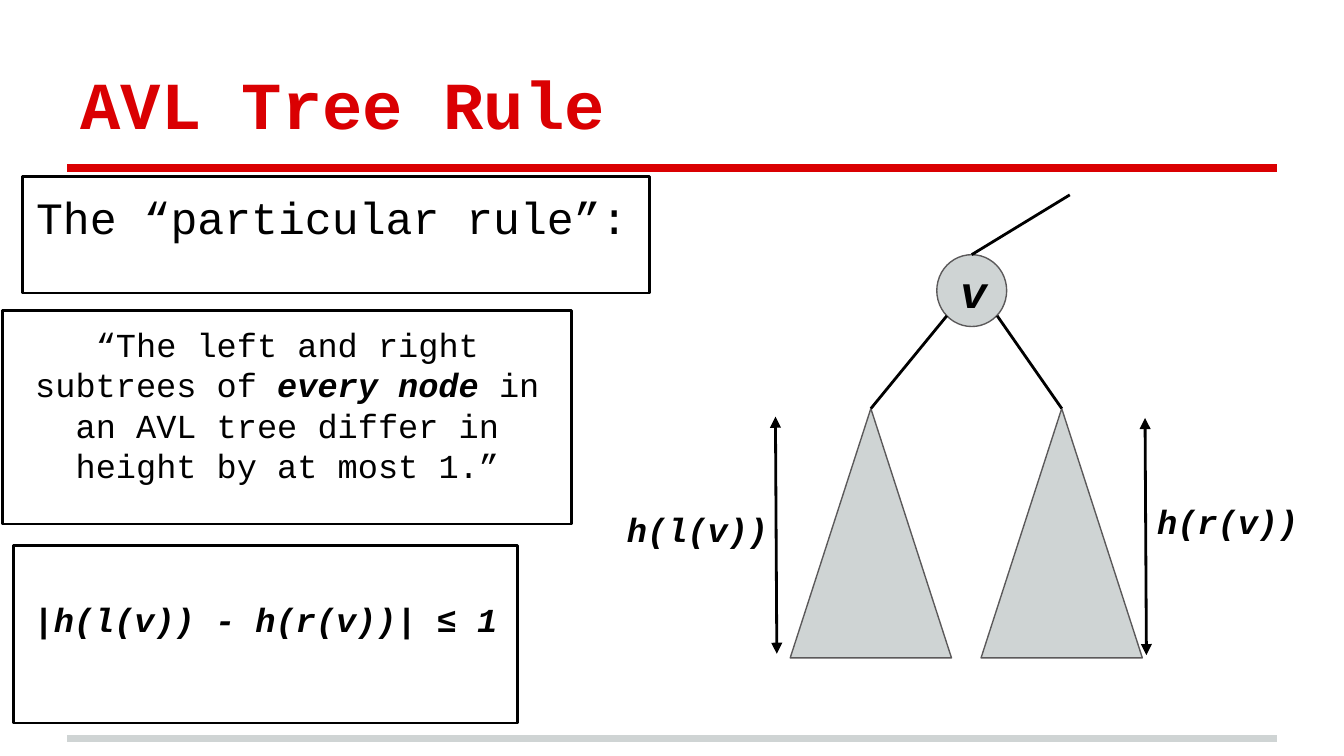
from lxml import etree
from pptx import Presentation
from pptx.dml.color import RGBColor
from pptx.enum.shapes import MSO_CONNECTOR, MSO_SHAPE
from pptx.enum.text import MSO_ANCHOR, PP_ALIGN
from pptx.oxml.ns import qn
from pptx.util import Emu, Pt

PX = 4572  # 200 px to the inch
FONT = "Courier New"
COLORS = {"red": "DA0002", "grey": "CFD4D4", "edge": "5B595A", "black": "000000"}
RECT, OVAL, TRIANGLE = MSO_SHAPE.RECTANGLE, MSO_SHAPE.OVAL, MSO_SHAPE.ISOSCELES_TRIANGLE
LEFT, CENTER = PP_ALIGN.LEFT, PP_ALIGN.CENTER
TOP, MIDDLE, BOTTOM = MSO_ANCHOR.TOP, MSO_ANCHOR.MIDDLE, MSO_ANCHOR.BOTTOM
STRAIGHT = MSO_CONNECTOR.STRAIGHT

SLIDE_SIZE = (2000, 1125)
TITLE, TITLE_BOX = "AVL Tree Rule", (100, 45, 1800, 188)
RULES = [(250, "red"), (1099, "grey")]

# Runs are (text, emphasised)
BOXES = [
    ((34, 263, 933, 173), [("The “particular rule”:", False)], dict(size=24, align=LEFT)),
    ((4, 462, 847, 318), [
        ("“The left and right subtrees of ", False),
        ("every node", True),
        (" in an AVL tree differ in height by at most 1.”", False),
    ], {}),
    ((20, 812, 750, 264), [("|h(l(v)) - h(r(v))| ≤ 1", True)], dict(inset_top=80)),
]
LABELS = [((908, 738, 260, 106), "h(l(v))"), ((1686, 726, 282, 106), "h(r(v))")]

NODE = (1394, 379, 104, 107)
SUBTREES = [(1176, 608, 240, 371), (1460, 608, 240, 371)]
NODE_EXITS = [(1409, 470), (1484, 470)]
PARENT = (1592, 290)
HEIGHT_ARROWS = [((1154, 620), (1156, 973)), ((1704, 622), (1706, 975))]


def px(*values):
    return [Emu(v * PX) for v in values]


def rgb(name):
    return RGBColor.from_string(COLORS[name])


def write(sp, runs, size=18, color="black", align=CENTER, anchor=TOP,
          inset_top=20, italic=True):
    tf = sp.text_frame
    side, top = px(20, inset_top)
    frame = dict(word_wrap=True, vertical_anchor=anchor, margin_left=side,
                 margin_right=side, margin_top=top, margin_bottom=side)
    for key, value in frame.items():
        setattr(tf, key, value)
    p = tf.paragraphs[0]
    p.alignment, p.line_spacing, p.space_before = align, 1.0, Pt(0)
    for text, strong in runs:
        r = p.add_run()
        r.text = text
        style = dict(name=FONT, size=Pt(size), bold=strong, italic=strong and italic)
        for key, value in style.items():
            setattr(r.font, key, value)
        r.font.color.rgb = rgb(color)


def shape(slide, kind, box, fill=None, line="black", width=1.5):
    sp = slide.shapes.add_shape(kind, *px(*box))
    sp.shadow.inherit = False
    if fill:
        sp.fill.solid()
        sp.fill.fore_color.rgb = rgb(fill)
    else:
        sp.fill.background()
    sp.line.color.rgb = rgb(line)
    sp.line.width = Pt(width)
    return sp


def connect(slide, start, end, color="black", width=1.5, arrows=False):
    cxn = slide.shapes.add_connector(STRAIGHT, *px(*start, *end))
    cxn.line.color.rgb = rgb(color)
    cxn.line.width = Pt(width)
    if arrows:
        ln = cxn._element.spPr.find(qn("a:ln"))
        for tag in ("a:headEnd", "a:tailEnd"):
            etree.SubElement(ln, qn(tag), type="triangle")
    etree.SubElement(cxn._element.spPr, qn("a:effectLst"))


def main():
    prs = Presentation()
    prs.slide_width, prs.slide_height = px(*SLIDE_SIZE)
    slide = prs.slides.add_slide(prs.slide_layouts[5])

    for y, color in RULES:
        connect(slide, (100, y), (1900, y), color, width=4)

    title = slide.shapes.title
    title.left, title.top, title.width, title.height = px(*TITLE_BOX)
    write(title, [(TITLE, True)], size=36, color="red", align=LEFT,
          anchor=BOTTOM, italic=False)

    for box, runs, style in BOXES:
        write(shape(slide, RECT, box), runs, **style)

    node = shape(slide, OVAL, NODE, "grey", "edge", 0.75)
    write(node, [("v", True)], size=24, anchor=MIDDLE)
    connect(slide, (NODE[0] + NODE[2] // 2, NODE[1]), PARENT)

    for box, node_exit in zip(SUBTREES, NODE_EXITS):
        shape(slide, TRIANGLE, box, "grey", "edge", 0.75)
        connect(slide, node_exit, (box[0] + box[2] // 2, box[1]))

    for start, end in HEIGHT_ARROWS:
        connect(slide, start, end, arrows=True)
    for box, text in LABELS:
        write(slide.shapes.add_textbox(*px(*box)), [(text, True)])

    prs.save("out.pptx")


if __name__ == "__main__":
    main()
